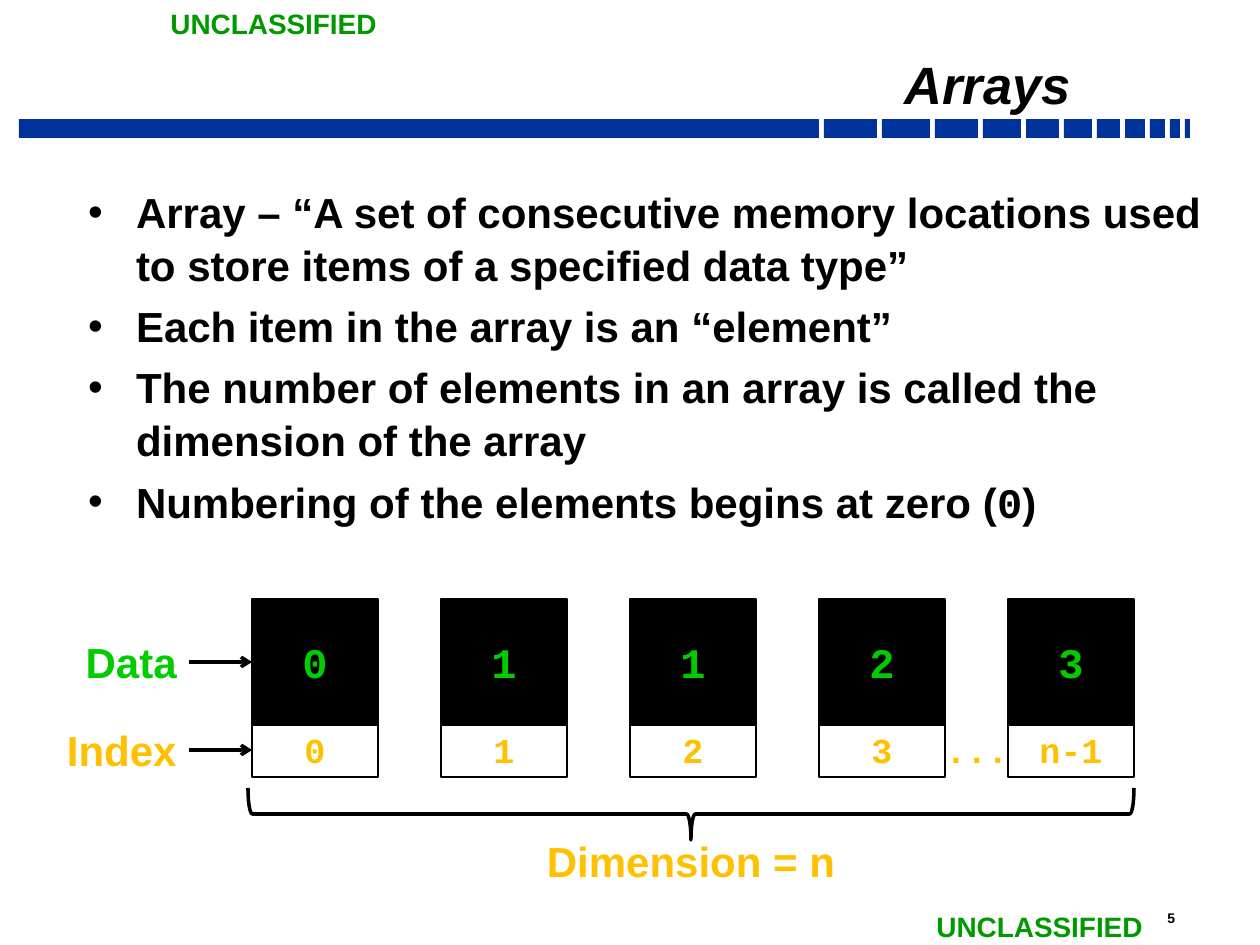
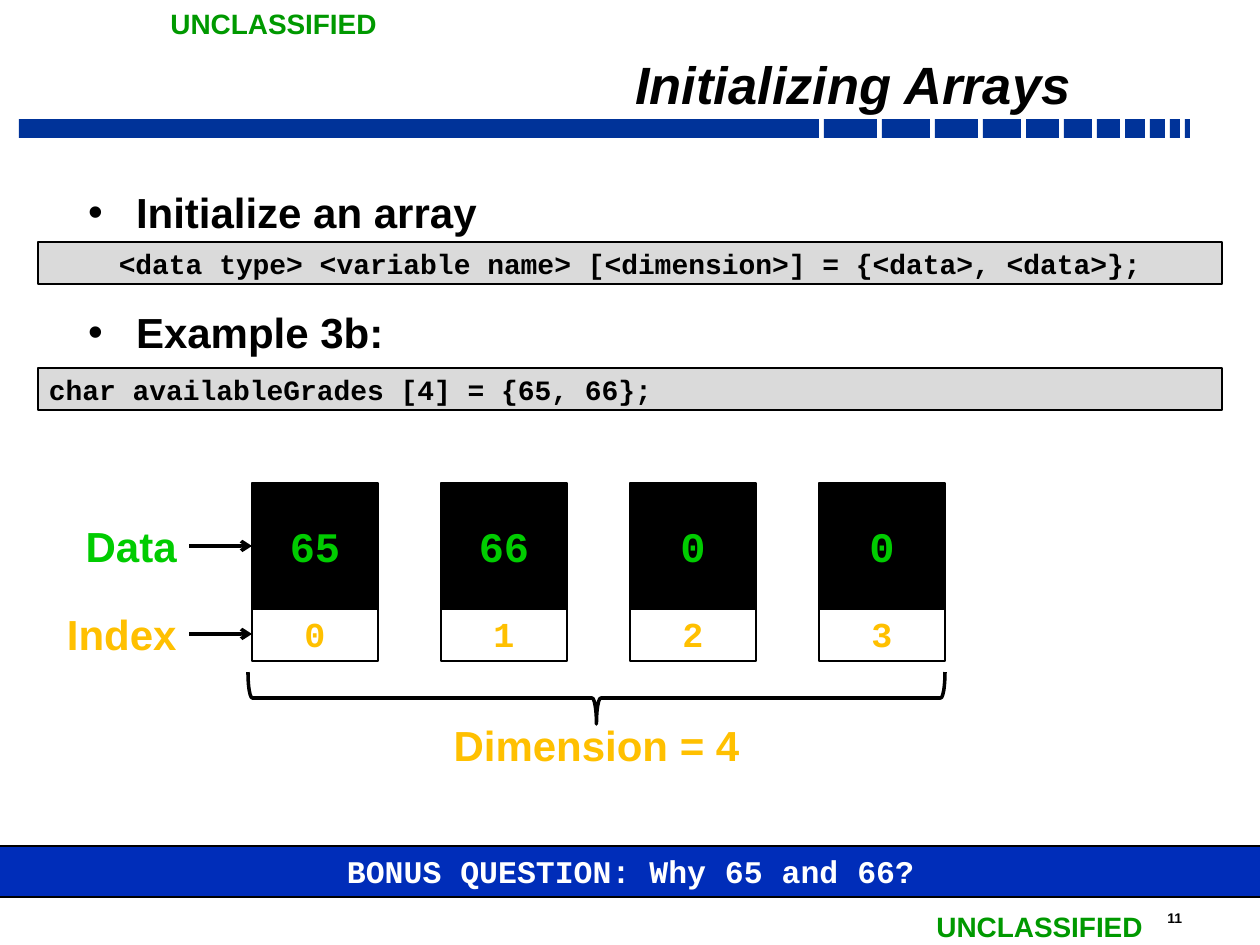
from dataclasses import dataclass
from itertools import cycle
from lxml import etree
from pptx import Presentation
from pptx.dml.color import RGBColor
from pptx.enum.shapes import MSO_CONNECTOR, MSO_SHAPE
from pptx.enum.text import MSO_ANCHOR, PP_ALIGN
from pptx.oxml.ns import qn
from pptx.util import Emu, Pt

RECT, BRACE = MSO_SHAPE.RECTANGLE, MSO_SHAPE.LEFT_BRACE
LINE = MSO_CONNECTOR.STRAIGHT
LEFT, MID, RIGHT = PP_ALIGN.LEFT, PP_ALIGN.CENTER, PP_ALIGN.RIGHT
TOP, HALF, BASE = MSO_ANCHOR.TOP, MSO_ANCHOR.MIDDLE, MSO_ANCHOR.BOTTOM


@dataclass(frozen=True)
class Style:
    size: int
    face: str
    ink: str
    slant: bool = False


class Theme:
    sans, mono = "Arial", "Courier New"
    black, bar, band, gray = "000000", "003399", "002DB9", "DADADA"
    green, gold = "00CC00", "FFC000"
    title = Style(30, sans, black, True)
    body = Style(24, sans, black)
    digit = Style(24, mono, black)
    page = Style(8, sans, black)
    mark = Style(16, sans, "009900")
    code = Style(16, mono, black)
    data = Style(24, mono, green)
    index = Style(20, mono, gold)
    dlabel = Style(24, sans, green)
    ilabel = Style(24, sans, gold)
    bonus = Style(18, mono, "FFFFFF")


def px(n):
    return Emu(round(n * 914400 / 126))


def rgb(code):
    return RGBColor.from_string(code)


def ink(run, style):
    font = run.font
    font.size, font.name = Pt(style.size), style.face
    font.bold, font.italic = True, style.slant
    font.color.rgb = rgb(style.ink)


def write(shape, text, style, align=LEFT, anchor=TOP, wrap=True):
    frame = shape.text_frame
    frame.text = text
    frame.word_wrap, frame.vertical_anchor = wrap, anchor
    para = frame.paragraphs[0]
    para.alignment = align
    ink(para.runs[0], style)
    return frame


def inset(frame):
    frame.margin_left = frame.margin_right = px(11)
    frame.margin_top = frame.margin_bottom = px(5)


def label(slide, area, text, style, *rest):
    box = slide.shapes.add_textbox(*map(px, area))
    return write(box, text, style, *rest)


def block(shapes, area, fill=None, edge=0, kind=RECT):
    shape = shapes.add_shape(kind, *map(px, area))
    shape.shadow.inherit = False
    if fill:
        shape.fill.solid()
        shape.fill.fore_color.rgb = rgb(fill)
    else:
        shape.fill.background()
    if edge:
        shape.line.color.rgb = rgb(Theme.black)
        shape.line.width = Pt(edge)
    else:
        shape.line.fill.background()
    return shape


def arrow(slide, x, y, width):
    line = slide.shapes.add_connector(LINE, px(x), px(y), px(x + width), px(y))
    line.line.color.rgb = rgb(Theme.black)
    line.line.width = Pt(2)
    etree.SubElement(line.line._get_or_add_ln(), qn("a:tailEnd"), type="arrow")
    etree.SubElement(line._element.spPr, qn("a:effectLst"))


def bars(slide, x, y):
    for width in (800, 53, 48, 43, 38, 33, 28, 23, 20, 15, 10, 5):
        block(slide.shapes, (x, y, width, 19), Theme.bar)
        x += width + 5


def base(deck, title, page):
    slide = deck.slides.add_slide(deck.slide_layouts[6])
    bars(slide, 19, 119)
    label(slide, (1155, 903, 68, 29), page, Theme.page)
    for x, y in ((158, 0), (924, 903)):
        label(slide, (x, y, 234, 47), "UNCLASSIFIED", Theme.mark, LEFT, TOP, False)
    frame = label(slide, (210, 44, 872, 74), title, Theme.title, RIGHT, BASE)
    inset(frame)
    frame.paragraphs[0].line_spacing = 0.7
    return slide


def bullet(para):
    props = para._p.get_or_add_pPr()
    props.set("marL", str(px(48)))
    props.set("indent", str(-px(48)))
    color = etree.SubElement(props, qn("a:buClr"))
    etree.SubElement(color, qn("a:srgbClr"), val=Theme.black)
    etree.SubElement(props, qn("a:buFont"), typeface=Theme.sans)
    etree.SubElement(props, qn("a:buChar"), char="•")


def points(slide, area, items, gap=4.8):
    frame = slide.shapes.add_textbox(*map(px, area)).text_frame
    frame.word_wrap = True
    inset(frame)
    for i, item in enumerate(items):
        para = frame.add_paragraph() if i else frame.paragraphs[0]
        for part, style in zip(item.split("`"), cycle((Theme.body, Theme.digit))):
            run = para.add_run()
            run.text = part
            ink(run, style)
        para.line_spacing = 1.05
        para.space_before = Pt(gap if i else 0)
        bullet(para)


def code(slide, area, text, align):
    shape = block(slide.shapes, area, Theme.gray, 1)
    inset(write(shape, text, Theme.code, align, HALF))


def cell(slide, x, y, side, value, index):
    group = slide.shapes.add_group_shape()
    data = block(group.shapes, (x, y, side, side), Theme.black, 1.5)
    write(data, value, Theme.data, MID, HALF)
    tag = block(group.shapes, (x, y + side - 3, side, 55), None, 0.75)
    write(tag, index, Theme.index, MID, HALF)


def brace(slide, x, y, width, height):
    left, top = x + (width - height) / 2, y + (height - width) / 2
    shape = block(slide.shapes, (left, top, height, width), None, 2, BRACE)
    shape.rotation = 270


def array(slide, x, y, values, marks, size, dots=False):
    side, step = 126, 189
    for i, (value, mark) in enumerate(zip(values, marks)):
        cell(slide, x + i * step, y, side, value, mark)
    label(slide, (x - 189, y + 31, 126, 63), "Data", Theme.dlabel, RIGHT, HALF)
    label(slide, (x - 252, y + 119, 189, 63), "Index", Theme.ilabel, RIGHT, HALF)
    for drop in (63, 151):
        arrow(slide, x - 63, y + drop, 63)
    last = x + (len(values) - 1) * step
    if dots:
        label(slide, (last - 94, y + 123, side, 55), "...", Theme.index, MID, HALF)
    left, width = x - 4, last + side - x + 4
    brace(slide, left, y + 189, width, 52)
    area = (left + width / 2 - 180, y + 230, 360, 63)
    label(slide, area, f"Dimension = {size}", Theme.ilabel, MID, HALF)


def intro(deck):
    slide = base(deck, "Arrays", "5")
    points(slide, (77, 179, 1143, 651), (
        "Array – “A set of consecutive memory locations used to store items "
        "of a specified data type”",
        "Each item in the array is an “element”",
        "The number of elements in an array is called the dimension of the array",
        "Numbering of the elements begins at zero (`0`)",
    ))
    array(slide, 252, 599, "01123", ("0", "1", "2", "3", "n-1"), "n", True)


def setup(deck):
    slide = base(deck, "Initializing Arrays", "11")
    points(slide, (77, 179, 1143, 651), ("Initialize an array", "Example 3b:"), 38.6)
    syntax = "<data type> <variable name> [<dimension>] = {<data>, <data>};"
    code(slide, (38, 242, 1184, 42), syntax, MID)
    code(slide, (38, 368, 1184, 42), "char availableGrades [4] = {65, 66};", LEFT)
    array(slide, 252, 483, ("65", "66", "0", "0"), "0123", "4")
    band = block(slide.shapes, (-73, 846, 1407, 51), Theme.band, 0.75)
    write(band, "BONUS QUESTION: Why 65 and 66?", Theme.bonus, MID)


deck = Presentation()
deck.slide_width, deck.slide_height = px(1260), px(945)
intro(deck)
setup(deck)
deck.save("out.pptx")
